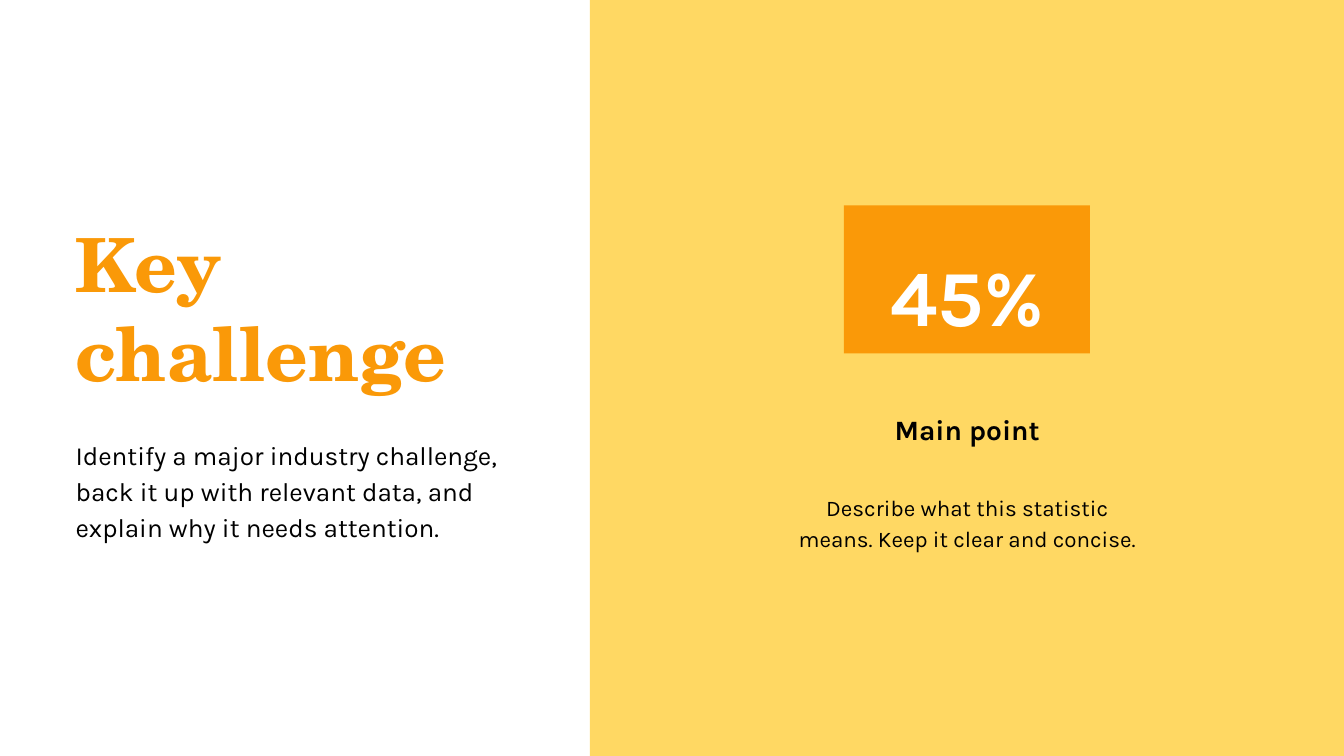
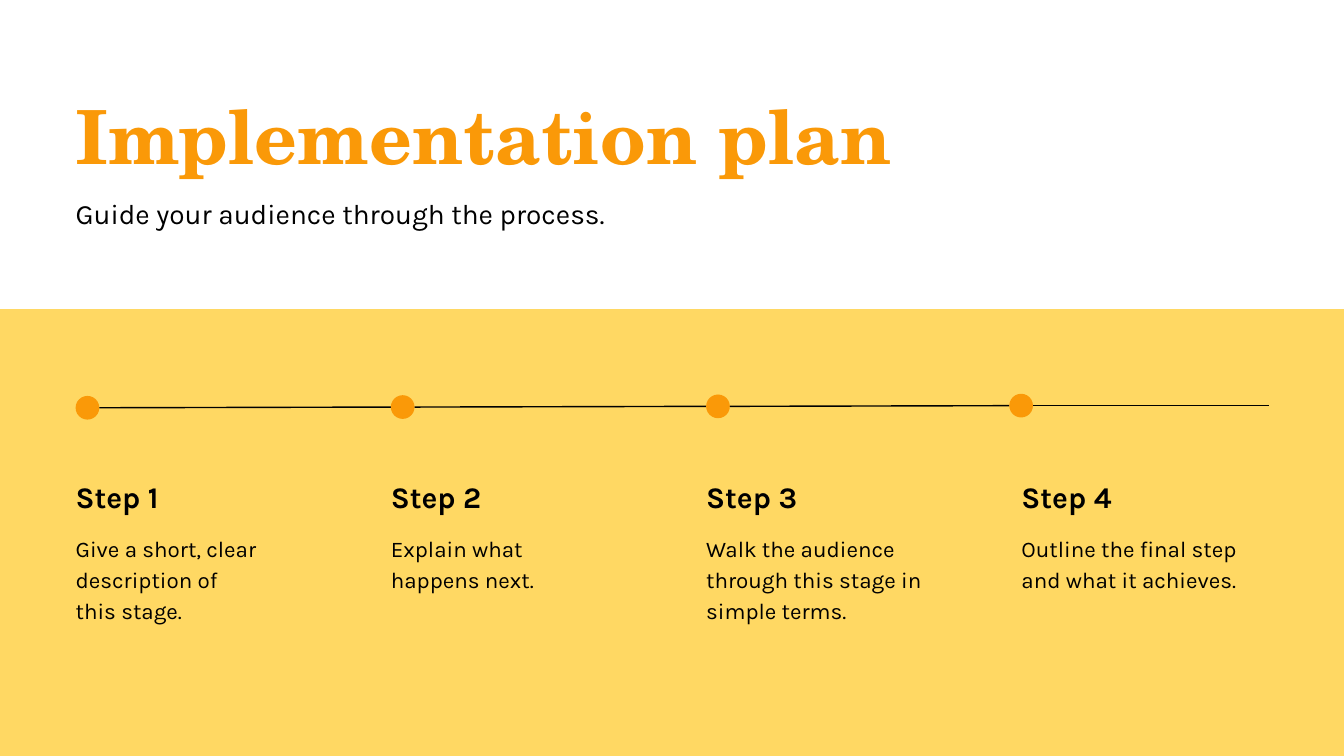
from dataclasses import dataclass

from lxml import etree
from pptx import Presentation as new_presentation
from pptx.dml.color import RGBColor
from pptx.enum.shapes import MSO_CONNECTOR as Connector, MSO_SHAPE as Preset
from pptx.enum.text import MSO_ANCHOR as Anchor, MSO_AUTO_SIZE as AutoSize, PP_ALIGN as Align
from pptx.oxml.ns import qn
from pptx.presentation import Presentation
from pptx.slide import Slide
from pptx.util import Pt


@dataclass(frozen=True)
class TextStyle:
    size: float
    color: RGBColor
    font: str = "Karla"
    bold: bool = False
    spacing: float = 1.15
    align: Align = Align.LEFT


@dataclass(frozen=True)
class Theme:
    orange = RGBColor(0xFA, 0x99, 0x08)
    yellow = RGBColor(0xFF, 0xD8, 0x63)
    black = RGBColor(0, 0, 0)
    white = RGBColor(0xFF, 0xFF, 0xFF)
    serif = "TeX Gyre Schola"

    title = TextStyle(80, orange, serif, bold=True, spacing=1.0)
    wide_title = TextStyle(80, orange, serif, bold=True, spacing=1.1)
    intro = TextStyle(28, black)
    subtitle = TextStyle(30, black, spacing=1.4)
    statistic = TextStyle(85, white, bold=True, spacing=1.1, align=Align.CENTER)
    main_point = TextStyle(30, black, bold=True, spacing=1.2, align=Align.CENTER)
    explanation = TextStyle(24, black, align=Align.CENTER)
    step_name = TextStyle(32, black, bold=True, spacing=1.2)
    step_text = TextStyle(24, black)


@dataclass(frozen=True)
class Box:
    left: float
    top: float
    width: float
    height: float

    def lengths(self) -> tuple[Pt, Pt, Pt, Pt]:
        return Pt(self.left), Pt(self.top), Pt(self.width), Pt(self.height)


@dataclass(frozen=True)
class Step:
    lines: tuple[str, ...]
    width: float = 265


THEME = Theme()
SLIDE_WIDTH, SLIDE_HEIGHT = 1440, 810
MARGIN = 81

STEPS = (
    Step(("Give a short, clear description of", "this stage."), width=245),
    Step(("Explain what", "happens next.")),
    Step(("Walk the audience through this stage in simple terms.",)),
    Step(("Outline the final step and what it achieves.",)),
)
STEP_PITCH = 337.8
DOT_SIZE = 25.4
DOT_TOP, DOT_RISE = 424.2, 0.75
LAST_DOT_SHIFT = -13
TIMELINE_END = 1359.4


# Shared drawing functions
def add_blank_slide(presentation: Presentation) -> Slide:
    slide = presentation.slides.add_slide(presentation.slide_layouts[6])
    slide.background.fill.solid()
    slide.background.fill.fore_color.rgb = THEME.white
    return slide


def add_filled(slide: Slide, box: Box, color: RGBColor, preset: Preset = Preset.RECTANGLE) -> None:
    shape = slide.shapes.add_shape(preset, *box.lengths())
    shape.shadow.inherit = False
    shape.fill.solid()
    shape.fill.fore_color.rgb = color
    shape.line.fill.background()


def add_text(slide: Slide, box: Box, style: TextStyle, *lines: str,
             anchor: Anchor = Anchor.TOP, inset: float = 0, grow: bool = True) -> None:
    frame = slide.shapes.add_textbox(*box.lengths()).text_frame
    frame.word_wrap = True
    frame.auto_size = AutoSize.SHAPE_TO_FIT_TEXT if grow else AutoSize.NONE
    frame.vertical_anchor = anchor
    frame.margin_left = frame.margin_right = Pt(inset)
    frame.margin_top = frame.margin_bottom = Pt(inset)
    for index, line in enumerate(lines):
        paragraph = frame.add_paragraph() if index else frame.paragraphs[0]
        paragraph.alignment = style.align
        paragraph.line_spacing = style.spacing
        run = paragraph.add_run()
        run.text = line
        run.font.name = style.font
        run.font.size = Pt(style.size)
        run.font.bold = style.bold
        run.font.color.rgb = style.color


def add_line(slide: Slide, start: tuple[float, float], end: tuple[float, float]) -> None:
    points = [Pt(value) for value in (*start, *end)]
    connector = slide.shapes.add_connector(Connector.STRAIGHT, *points)
    connector.line.color.rgb = THEME.black
    connector.line.width = Pt(1.5)
    etree.SubElement(connector._element.spPr, qn("a:effectLst"))


# Slide 1: challenge on the left, statistic on the right
def build_challenge(presentation: Presentation) -> None:
    slide = add_blank_slide(presentation)
    panel_left = 632
    add_filled(slide, Box(panel_left, 0, SLIDE_WIDTH - panel_left, SLIDE_HEIGHT), THEME.yellow)

    add_filled(slide, Box(904.3, 220, 263.5, 158.7), THEME.orange)
    add_text(slide, Box(904.3, 242.6, 263.5, 136.1), THEME.statistic, "45%",
             anchor=Anchor.MIDDLE, inset=4, grow=False)
    add_text(slide, Box(843, 435, 386.6, 36.7), THEME.main_point, "Main point")
    add_text(slide, Box(843, 525, 386.6, 62.6), THEME.explanation,
             "Describe what this statistic means. Keep it clear and concise.")

    add_text(slide, Box(MARGIN, 233.3, 476, 193.7), THEME.title, "Key challenge")
    add_text(slide, Box(MARGIN, 465.8, 476, 112.3), THEME.intro,
             "Identify a major industry challenge, back it up with relevant data, "
             "and explain why it needs attention.")


# Slide 2: title above, timeline of steps below
def build_plan(presentation: Presentation) -> None:
    slide = add_blank_slide(presentation)
    band_top = 331.2
    add_filled(slide, Box(0, band_top, SLIDE_WIDTH, SLIDE_HEIGHT - band_top), THEME.yellow)
    add_text(slide, Box(MARGIN, 86.4, 1278, 90.7), THEME.wide_title, "Implementation plan")
    add_text(slide, Box(MARGIN, 195.8, 1005.8, 41), THEME.subtitle,
             "Guide your audience through the process.")

    # Dots, and the lines that run from each one to the next
    columns = [MARGIN + index * STEP_PITCH for index in range(len(STEPS))]
    dots = [Box(left, DOT_TOP - index * DOT_RISE, DOT_SIZE, DOT_SIZE)
            for index, left in enumerate(columns)]
    dots[-1] = Box(columns[-1] + LAST_DOT_SHIFT, dots[-1].top, DOT_SIZE, DOT_SIZE)
    middles = [dot.top + DOT_SIZE / 2 for dot in dots]
    line_ends = [(dot.left, middle) for dot, middle in zip(dots[1:], middles[1:])]
    line_ends.append((TIMELINE_END, middles[-1]))
    for dot, middle, line_end in zip(dots, middles, line_ends):
        add_filled(slide, dot, THEME.orange, Preset.OVAL)
        add_line(slide, (dot.left + DOT_SIZE, middle), line_end)

    # Step names and descriptions
    for number, (left, step) in enumerate(zip(columns, STEPS), start=1):
        add_text(slide, Box(left, 505.4, 265, 38.9), THEME.step_name, f"Step {number}")
        add_text(slide, Box(left, 568.8, step.width, 62.6), THEME.step_text, *step.lines)


def main() -> None:
    presentation = new_presentation()
    presentation.slide_width = Pt(SLIDE_WIDTH)
    presentation.slide_height = Pt(SLIDE_HEIGHT)
    build_challenge(presentation)
    build_plan(presentation)
    presentation.save("out.pptx")


if __name__ == "__main__":
    main()
